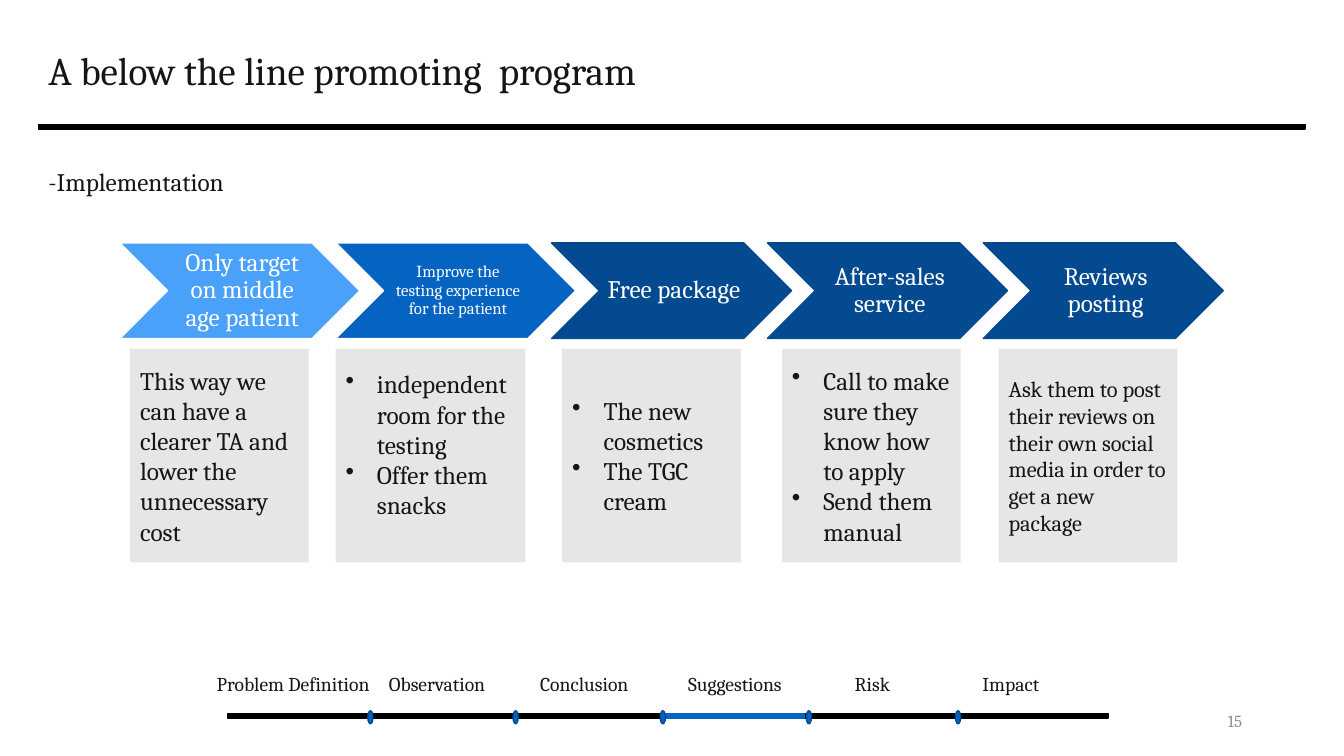
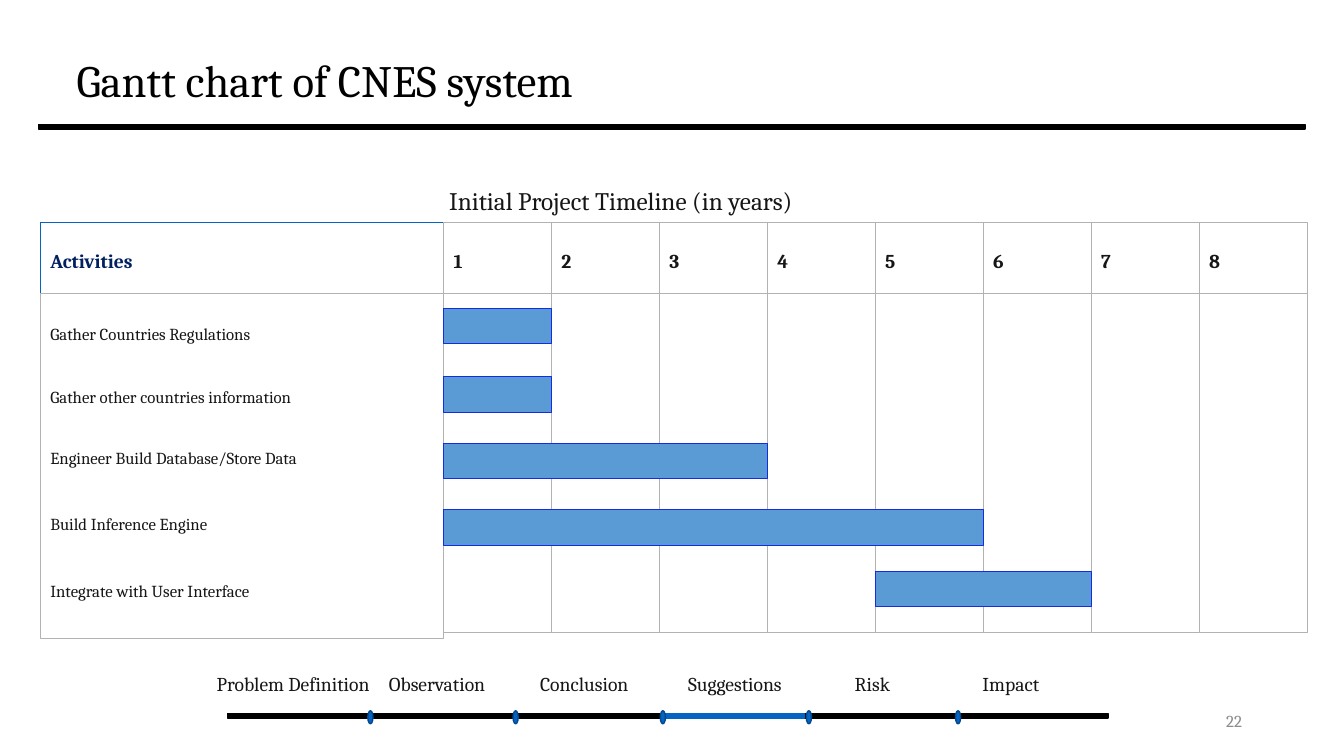
import lxml.etree
import pptx
import pptx.dml.color
import pptx.enum.shapes
import pptx.enum.text
import pptx.oxml.ns
import pptx.util

Cm = pptx.util.Cm
Pt = pptx.util.Pt
RGBColor = pptx.dml.color.RGBColor
Shape = pptx.enum.shapes.MSO_SHAPE
Anchor = pptx.enum.text.MSO_ANCHOR
Align = pptx.enum.text.PP_ALIGN

BLACK = RGBColor(0x00, 0x00, 0x00)
WHITE = RGBColor(0xFF, 0xFF, 0xFF)
INK = RGBColor(0x17, 0x16, 0x16)
GREY = RGBColor(0x8C, 0x8C, 0x8C)
CARD_GREY = RGBColor(0xE7, 0xE6, 0xE6)
GRID_GREY = RGBColor(0xB2, 0xB2, 0xB2)
SKY = RGBColor(0x49, 0xA1, 0xFA)
BLUE = RGBColor(0x05, 0x63, 0xC1)
DARK_BLUE = RGBColor(0x04, 0x4A, 0x91)
TICK_EDGE = RGBColor(0x04, 0x49, 0x8F)
NAVY = RGBColor(0x00, 0x20, 0x60)
BAR_FILL = RGBColor(0x5B, 0x9B, 0xD5)
BAR_EDGE = RGBColor(0x15, 0x2D, 0xDF)

FONT = "Cambria"
DEFAULT_MARGINS = (0.25, 0.13, 0.25, 0.13)
BULLET_INDENT = 0.79

# Label, left, width
SECTIONS = [
    ("Problem Definition", 5.21, 4.57),
    ("Observation", 9.55, 3.1),
    ("Conclusion", 13.36, 2.87),
    ("Suggestions", 17.09, 3.05),
    ("Risk", 21.29, 1.45),
    ("Impact", 24.51, 2.01),
]
SECTION_TICKS = [9.27, 12.93, 16.64, 20.32, 24.08]


class Deck:
    """Holds the presentation, its style and the current slide."""

    def __init__(self):
        """Start an empty widescreen presentation."""
        self.presentation = pptx.Presentation()
        self.presentation.slide_width = Cm(33.87)
        self.presentation.slide_height = Cm(19.05)
        self.slide = None

    def new_slide(self, number):
        """Add a blank slide with the title rule and the section footer."""
        layout = self.presentation.slide_layouts[6]
        self.slide = self.presentation.slides.add_slide(layout)
        self.rule(-4.78, 2.97, 43.43, BLACK)
        self.rule(1.73, 17.81, 30.2, BLACK)
        self.text(23.93, 17.65, 7.62, 1.02, number, size=12, color=GREY,
                  align=Align.RIGHT, anchor=Anchor.MIDDLE)
        self.rule(16.03, 17.81, 4.9, BLUE)
        for left in SECTION_TICKS:
            self.shape(Shape.OVAL, left, 17.91, 0.13, 0.33, BLUE, TICK_EDGE)
        for label, left, width in SECTIONS:
            self.text(left, 16.79, width, 0.86, label, size=14, wrap=False)

    def rule(self, left, top, width, color):
        """Draw a thick horizontal rule."""
        self.shape(Shape.MATH_MINUS, left, top, width, 0.46, color, color)

    def shape(self, kind, left, top, width, height, fill, line=None,
              line_width=1):
        """Draw a filled preset shape, outlined if a line colour is given."""
        shape = self.slide.shapes.add_shape(
            kind, Cm(left), Cm(top), Cm(width), Cm(height))
        shape.shadow.inherit = False
        shape.fill.solid()
        shape.fill.fore_color.rgb = fill
        if line is None:
            shape.line.fill.background()
        else:
            shape.line.color.rgb = line
            shape.line.width = Pt(line_width)
        return shape

    def text(self, left, top, width, height, content, **style):
        """Place a text box."""
        box = self.slide.shapes.add_textbox(
            Cm(left), Cm(top), Cm(width), Cm(height))
        self.set_text(box, content, **style)

    def title(self, left, top, width, content, size, color):
        """Place the slide title above the rule."""
        self.text(left, top, width, 3.68, content, size=size, color=color,
                  anchor=Anchor.MIDDLE, line_spacing=0.9)

    def set_text(self, shape, content, size=18, color=INK, bold=False,
                 align=Align.LEFT, anchor=Anchor.TOP, line_spacing=None,
                 margins=DEFAULT_MARGINS, wrap=True, bullets=False, gaps=None):
        """Fill a shape with one paragraph for each line of the content."""
        frame = shape.text_frame
        frame.text = content
        frame.word_wrap = wrap
        frame.vertical_anchor = anchor
        (frame.margin_left, frame.margin_top,
         frame.margin_right, frame.margin_bottom) = map(Cm, margins)
        for index, paragraph in enumerate(frame.paragraphs):
            paragraph.alignment = align
            if line_spacing:
                paragraph.line_spacing = line_spacing
            if gaps:
                paragraph.space_before = Pt(gaps[index])
            if bullets:
                self.bullet(paragraph)
            for run in paragraph.runs:
                run.font.name = FONT
                run.font.size = Pt(size)
                run.font.bold = bold
                run.font.color.rgb = color

    def bullet(self, paragraph):
        """Give a paragraph a round bullet with a hanging indent."""
        properties = paragraph._p.get_or_add_pPr()
        properties.set("marL", str(Cm(BULLET_INDENT)))
        properties.set("indent", str(-Cm(BULLET_INDENT)))
        mark = lxml.etree.SubElement(properties, pptx.oxml.ns.qn("a:buChar"))
        mark.set("char", "•")

    def step(self, left, content, fill, line, size):
        """Draw one chevron of the process."""
        chevron = self.shape(Shape.CHEVRON, left, 6.12, 6.05, 2.41, fill, line)
        self.set_text(chevron, content, size=size, color=WHITE,
                      align=Align.CENTER, anchor=Anchor.MIDDLE,
                      line_spacing=0.9, margins=(0.2, 0.08, 0.08, 0.08))

    def card(self, left, width, content, **style):
        """Draw the grey card that explains a step."""
        card = self.shape(Shape.RECTANGLE, left, 8.79, width, 5.38, CARD_GREY)
        self.set_text(card, content, anchor=Anchor.MIDDLE, **style)

    def cell(self, left, top, width, height, line=GRID_GREY):
        """Draw one white cell of the Gantt grid."""
        return self.shape(Shape.RECTANGLE, left, top, width, height, WHITE,
                          line, 0.75)

    def header(self, left, width, content, color=INK, line=GRID_GREY):
        """Draw a header cell of the Gantt grid."""
        cell = self.cell(left, 5.61, width, 1.78, line)
        self.set_text(cell, content, size=14, color=color, bold=True,
                      anchor=Anchor.MIDDLE, wrap=False,
                      margins=(0.25, 0.25, 0.25, 0.13))


def build_implementation(deck):
    """Build the slide with the five promotion steps."""
    deck.new_slide("15")
    deck.title(0.97, 0, 29.74, "A below the line promoting  program", 28, INK)

    steps = [
        ("Only target on middle age patient", SKY, WHITE, 18),
        ("Improve the testing experience for the patient", BLUE, WHITE, 12),
        ("Free package", DARK_BLUE, DARK_BLUE, 18),
        ("After-sales service", DARK_BLUE, DARK_BLUE, 18),
        ("Reviews posting", DARK_BLUE, DARK_BLUE, 18),
    ]
    for index, step in enumerate(steps):
        deck.step(3.02 + 5.44 * index, *step)

    deck.card(3.28, 4.5, "This way we can have a clearer TA and lower the "
              "unnecessary cost")
    deck.card(8.46, 4.78, "independent room for the testing\n"
              "Offer them snacks", bullets=True,
              margins=(0.25, 0.13, 0.25, 0.7))
    deck.card(14.17, 4.5, "The new cosmetics\nThe TGC cream", bullets=True)
    deck.card(19.71, 4.5, "Call to make sure they know how to apply\n"
              "Send them manual", bullets=True)
    deck.card(25.17, 4.5, "Ask them to post their reviews on their own social "
              "media in order to get a new package", size=16)
    deck.text(0.97, 4.06, 5.13, 1.02, "-Implementation", wrap=False)


def build_gantt(deck):
    """Build the slide with the project timeline."""
    deck.new_slide("22")
    deck.title(1.68, 0.25, 29.21, "Gantt chart of CNES system", 32, BLACK)

    grid_left, year_width, years = 11.18, 2.72, 8
    activities_left, activities_width = 1.02, 10.16
    body_top = 7.39

    deck.header(activities_left, activities_width, "Activities", NAVY, BLUE)
    activities = deck.cell(activities_left, body_top, activities_width, 8.69)
    deck.set_text(activities, "\n".join([
        "Gather Countries Regulations",
        "Gather other countries information",
        "Engineer Build Database/Store Data",
        "Build Inference Engine",
        "Integrate with User Interface",
    ]), size=12, margins=(0.25, 0.76, 0.25, 0.13), gaps=(0, 31, 29, 33, 33))

    for year in range(years):
        left = grid_left + year_width * year
        deck.header(left, year_width, str(year + 1))
        deck.cell(left, body_top, year_width, 8.56)

    # First year, number of years, top
    bars = [(1, 1, 7.77), (1, 1, 9.5), (1, 3, 11.18), (1, 5, 12.85),
            (5, 2, 14.4)]
    for first_year, duration, top in bars:
        deck.shape(Shape.RECTANGLE, grid_left + year_width * (first_year - 1),
                   top, year_width * duration, 0.89, BAR_FILL, BAR_EDGE, 0.75)
    deck.text(11.07, 4.55, 22, 1.02, "Initial Project Timeline (in years)")


def main():
    """Build both slides and save the file."""
    deck = Deck()
    build_implementation(deck)
    build_gantt(deck)
    deck.presentation.save("out.pptx")


main()
